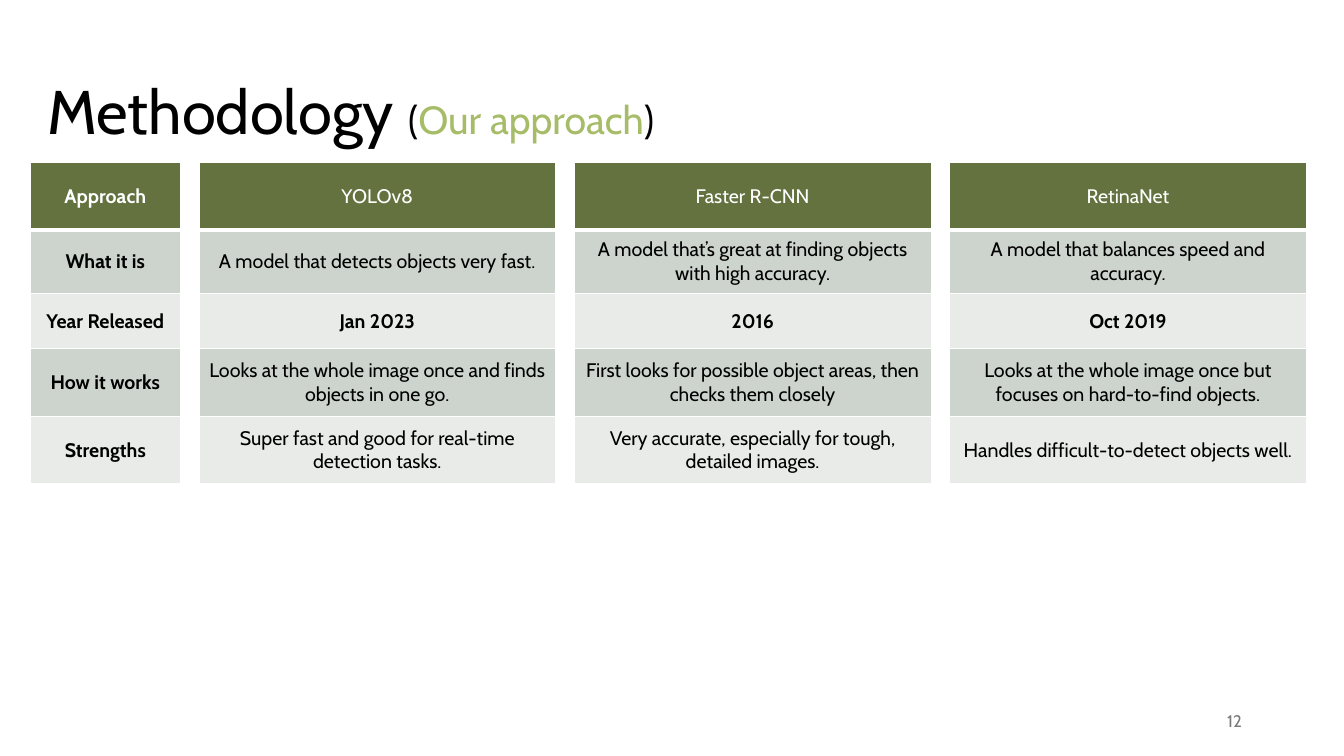
import pptx
import pptx.dml.color
import pptx.enum.text
import pptx.oxml
import pptx.oxml.ns
import pptx.util

Pt = pptx.util.Pt
RGB = pptx.dml.color.RGBColor
ALIGN = pptx.enum.text.PP_ALIGN
MIDDLE = pptx.enum.text.MSO_ANCHOR.MIDDLE

FONT = "Cabin"
BLACK = RGB(0x00, 0x00, 0x00)
WHITE = RGB(0xFF, 0xFF, 0xFF)
OLIVE = RGB(0x63, 0x72, 0x3F)
LIGHT_GREEN = RGB(0xA7, 0xBC, 0x68)
DARK_BAND = RGB(0xCC, 0xD4, 0xCD)
LIGHT_BAND = RGB(0xE8, 0xEB, 0xE8)
GREY = RGB(0x79, 0x79, 0x79)

ROW_FILLS = [OLIVE, DARK_BAND, LIGHT_BAND, DARK_BAND, LIGHT_BAND]
ROW_HEIGHTS = [48.2, 45.4, 39.6, 48.2, 48.2]
YEAR_ROW = 2
LABEL_WIDTH = 107.3
TABLE_GAP = 13.2

LABELS = ["Approach", "What it is", "Year Released", "How it works", "Strengths"]
MODELS = [
    ["YOLOv8", "A model that detects objects very fast.", "Jan 2023",
     "Looks at the whole image once and finds objects in one go.",
     "Super fast and good for real-time detection tasks."],
    ["Faster R-CNN", "A model that’s great at finding objects with high accuracy.", "2016",
     "First looks for possible object areas, then checks them closely",
     "Very accurate, especially for tough, detailed images."],
    ["RetinaNet", "A model that balances speed and accuracy.", "Oct 2019",
     "Looks at the whole image once but focuses on hard-to-find objects.",
     "Handles difficult-to-detect objects well."],
]


def style_font(font, size, color, bold=False):
    """Set the typeface, size, colour and weight of a font."""
    font.name = FONT
    font.size = Pt(size)
    font.color.rgb = color
    font.bold = bold


def add_text_frame(slide, left, top, width, height):
    """Add a wrapping, vertically centred text box and return its frame."""
    box = slide.shapes.add_textbox(Pt(left), Pt(top), Pt(width), Pt(height))
    frame = box.text_frame
    frame.word_wrap = True
    frame.vertical_anchor = MIDDLE
    return frame


def add_title(slide, left, top, width, height):
    """Place the title with its smaller, coloured subtitle."""
    frame = add_text_frame(slide, left, top, width, height)
    frame.margin_bottom = Pt(34)
    heading = frame.paragraphs[0]
    heading.line_spacing = 0.9
    for words, size, color in [("Methodology ", 44, BLACK), ("(", 28, BLACK),
                               ("Our approach", 28, LIGHT_GREEN), (")", 28, BLACK)]:
        run = heading.add_run()
        run.text = words
        style_font(run.font, size, color)


def add_page_number(slide, left, top, width, height):
    """Place the page number at the right of its box."""
    number = add_text_frame(slide, left, top, width, height).paragraphs[0]
    number.text = "12"
    number.alignment = ALIGN.RIGHT
    style_font(number.font, 12, GREY)


def add_borders(cell, bottom_width, top_width):
    """Draw white borders on the four sides of a cell."""
    properties = cell._tc.get_or_add_tcPr()
    for side, width in [("L", 1), ("R", 1), ("T", top_width), ("B", bottom_width)]:
        properties.append(pptx.oxml.parse_xml(
            f'<a:ln{side} {pptx.oxml.ns.nsdecls("a")} w="{Pt(width)}">'
            f'<a:solidFill><a:srgbClr val="{WHITE}"/></a:solidFill></a:ln{side}>'))


def add_column_table(slide, left, top, width, entries, bold_rows):
    """Place a one-column table with a header and banded rows."""
    table = slide.shapes.add_table(
        len(entries), 1, Pt(left), Pt(top), Pt(width), Pt(sum(ROW_HEIGHTS))).table
    table.horz_banding = False
    for index, entry in enumerate(entries):
        table.rows[index].height = Pt(ROW_HEIGHTS[index])
        cell = table.cell(index, 0)
        add_borders(cell, 3 if index == 0 else 1, 3 if index == 1 else 1)
        cell.fill.solid()
        cell.fill.fore_color.rgb = ROW_FILLS[index]
        cell.vertical_anchor = MIDDLE
        paragraph = cell.text_frame.paragraphs[0]
        paragraph.text = entry
        paragraph.alignment = ALIGN.CENTER
        style_font(paragraph.font, 14, WHITE if index == 0 else BLACK, index in bold_rows)


def add_comparison(slide, left, top, width):
    """Place the label table and the equally wide model tables."""
    add_column_table(slide, left, top, LABEL_WIDTH, LABELS, range(len(LABELS)))
    models_left = left + LABEL_WIDTH + TABLE_GAP
    pitch = (left + width + TABLE_GAP - models_left) / len(MODELS)
    for index, model in enumerate(MODELS):
        add_column_table(slide, models_left + index * pitch, top,
                         pitch - TABLE_GAP, model, [YEAR_ROW])


def main():
    """Build and save the methodology slide."""
    deck = pptx.Presentation()
    deck.slide_width, deck.slide_height = Pt(960), Pt(540)
    slide = deck.slides.add_slide(deck.slide_layouts[6])
    add_title(slide, 26.6, 44.6, 828, 104.4)
    add_page_number(slide, 678.2, 500.4, 216, 28.8)
    add_comparison(slide, 21.6, 116, 911.6)
    deck.save("out.pptx")


if __name__ == "__main__":
    main()
